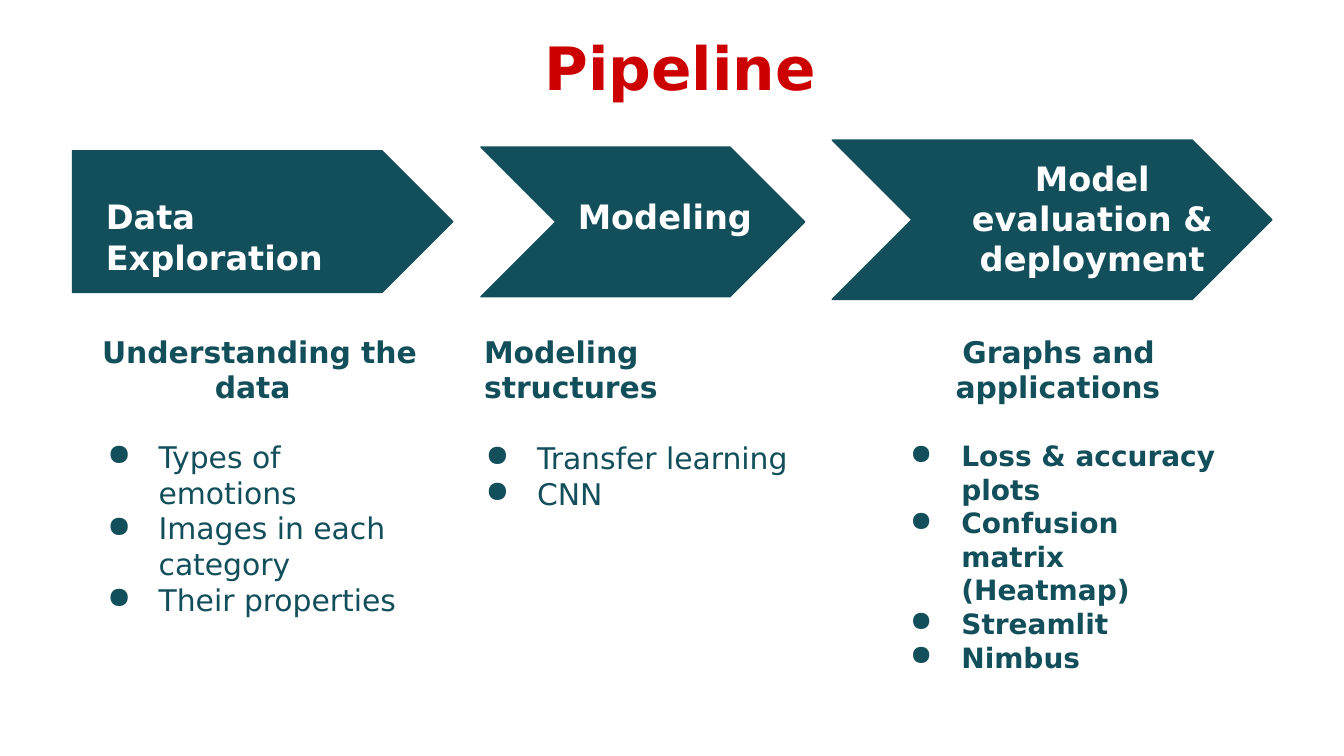
from lxml.etree import SubElement
from pptx import Presentation
from pptx.dml.color import RGBColor
from pptx.enum.shapes import MSO_SHAPE as Shape
from pptx.enum.text import PP_ALIGN as Align
from pptx.oxml.ns import qn
from pptx.util import Cm, Pt

TEAL = RGBColor(0x12, 0x4F, 0x5B)
RED = RGBColor(0xCC, 0x00, 0x00)
WHITE = RGBColor(0xFF, 0xFF, 0xFF)


class PipelinePage:
    """Draws the arrows, headings and lists of a pipeline on one slide."""

    font = "DejaVu Sans"

    def __init__(self, deck):
        self.page = deck.slides.add_slide(deck.slide_layouts[6])

    def arrow(self, kind, left, top, width, height):
        arrow = self.page.shapes.add_shape(kind, Cm(left), Cm(top), Cm(width), Cm(height))
        arrow.shadow.inherit = False
        arrow.fill.solid()
        arrow.fill.fore_color.rgb = TEAL
        arrow.line.color.rgb = TEAL
        arrow.line.width = Pt(0.75)

    def text(self, words, left, top, width, height, size, color=TEAL, bold=True,
             align=Align.LEFT, margin=0, indent=0, right=0):
        box = self.page.shapes.add_textbox(Cm(left), Cm(top), Cm(width), Cm(height))
        frame = box.text_frame
        frame.word_wrap = True
        frame.margin_left = frame.margin_bottom = 0
        frame.margin_top = Cm(0.03)
        frame.margin_right = Cm(right)
        frame.text = words
        for para in frame.paragraphs:
            para.alignment = align
            properties = para._p.get_or_add_pPr()
            properties.set("marL", str(Cm(margin)))
            properties.set("indent", str(Cm(indent)))
            for span in para.runs:
                span.font.name = self.font
                span.font.size = Pt(size)
                span.font.bold = bold
                span.font.color.rgb = color
        return frame

    def bullets(self, items, left, top, width, height, size=16, bold=False, right=0):
        frame = self.text("\n".join(items), left, top, width, height, size,
                          bold=bold, margin=1, indent=-0.97, right=right)
        for para in frame.paragraphs:
            properties = para._p.get_or_add_pPr()
            color = SubElement(properties, qn("a:buClr"))
            SubElement(color, qn("a:srgbClr"), val=str(TEAL))
            SubElement(properties, qn("a:buChar"), char="●")


def main():
    deck = Presentation()
    deck.slide_width, deck.slide_height = Cm(25.4), Cm(14.29)
    page = PipelinePage(deck)

    page.text("Pipeline", 10.29, 0.56, 6.91, 1.4, 32, RED)

    page.arrow(Shape.PENTAGON, 1.37, 2.85, 7.19, 2.68)
    page.arrow(Shape.CHEVRON, 9.09, 2.78, 6.12, 2.83)
    page.arrow(Shape.CHEVRON, 15.73, 2.65, 8.31, 3.01)

    page.text("Data Exploration", 2, 3.68, 5.66, 0.84, 18, WHITE)
    page.text("Modeling", 10.92, 3.68, 4.22, 0.81, 18, WHITE)
    page.text("Model evaluation & deployment", 17.75, 2.95, 5.79, 2.34, 18, WHITE,
              align=Align.CENTER)

    page.text("Understanding the data", 1.88, 6.27, 6.68, 1.4, 16, margin=2.18, indent=-2.13)
    page.text("Modeling structures", 9.15, 6.27, 6.05, 0.74, 16)
    page.text("Graphs and applications", 18.03, 6.27, 5.54, 1.4, 16, margin=0.03, indent=0.13)

    page.bullets(["Types of emotions", "Images in each category", "Their properties"],
                 2, 8.26, 5.54, 3.45)
    page.bullets(["Transfer learning", "CNN"], 9.15, 8.28, 5.79, 1.42)
    page.bullets(["Loss & accuracy plots", "Confusion matrix (Heatmap)", "Streamlit", "Nimbus"],
                 17.17, 8.26, 7.57, 4.52, size=15, bold=True, right=1.66)

    deck.save("out.pptx")


if __name__ == "__main__":
    main()
